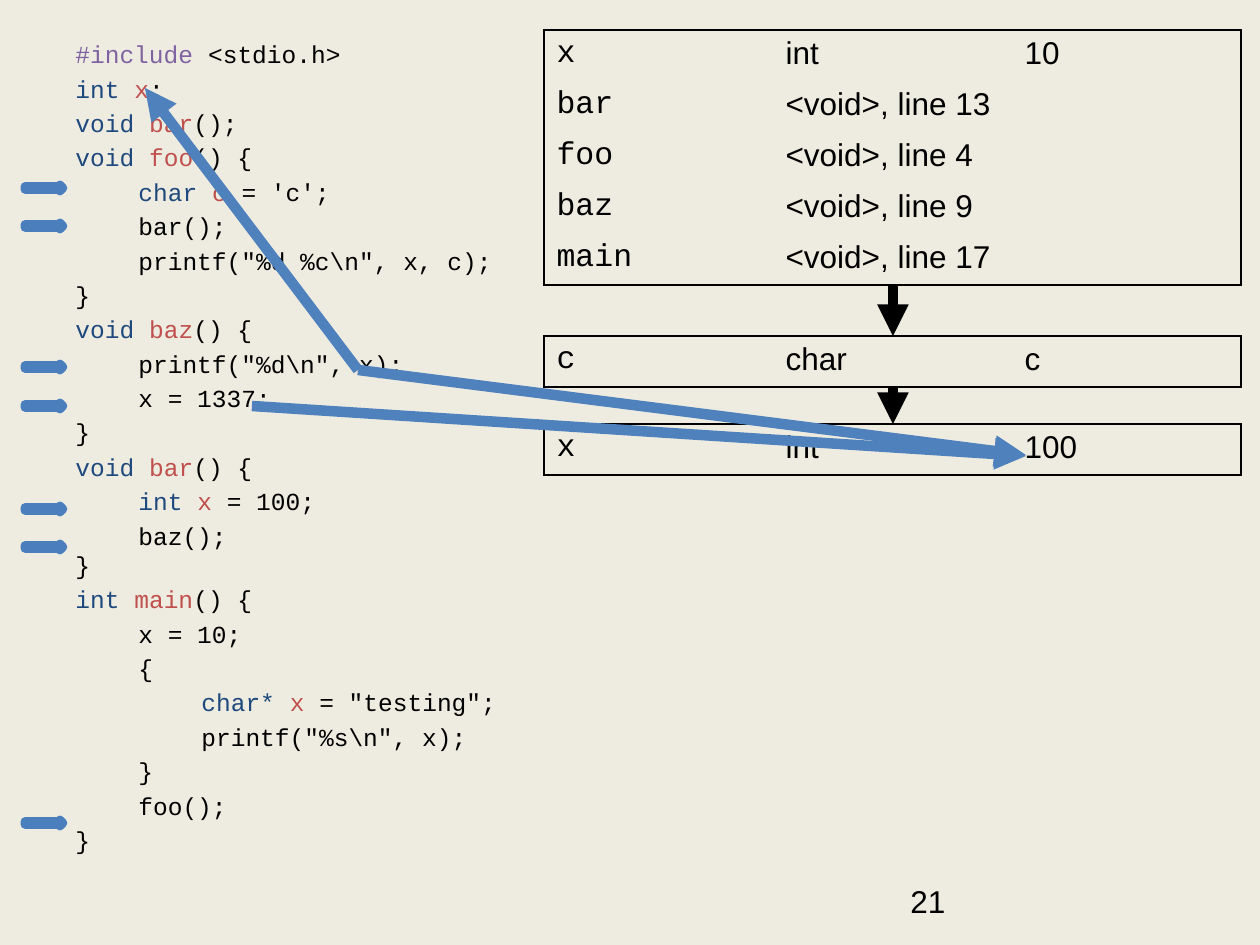
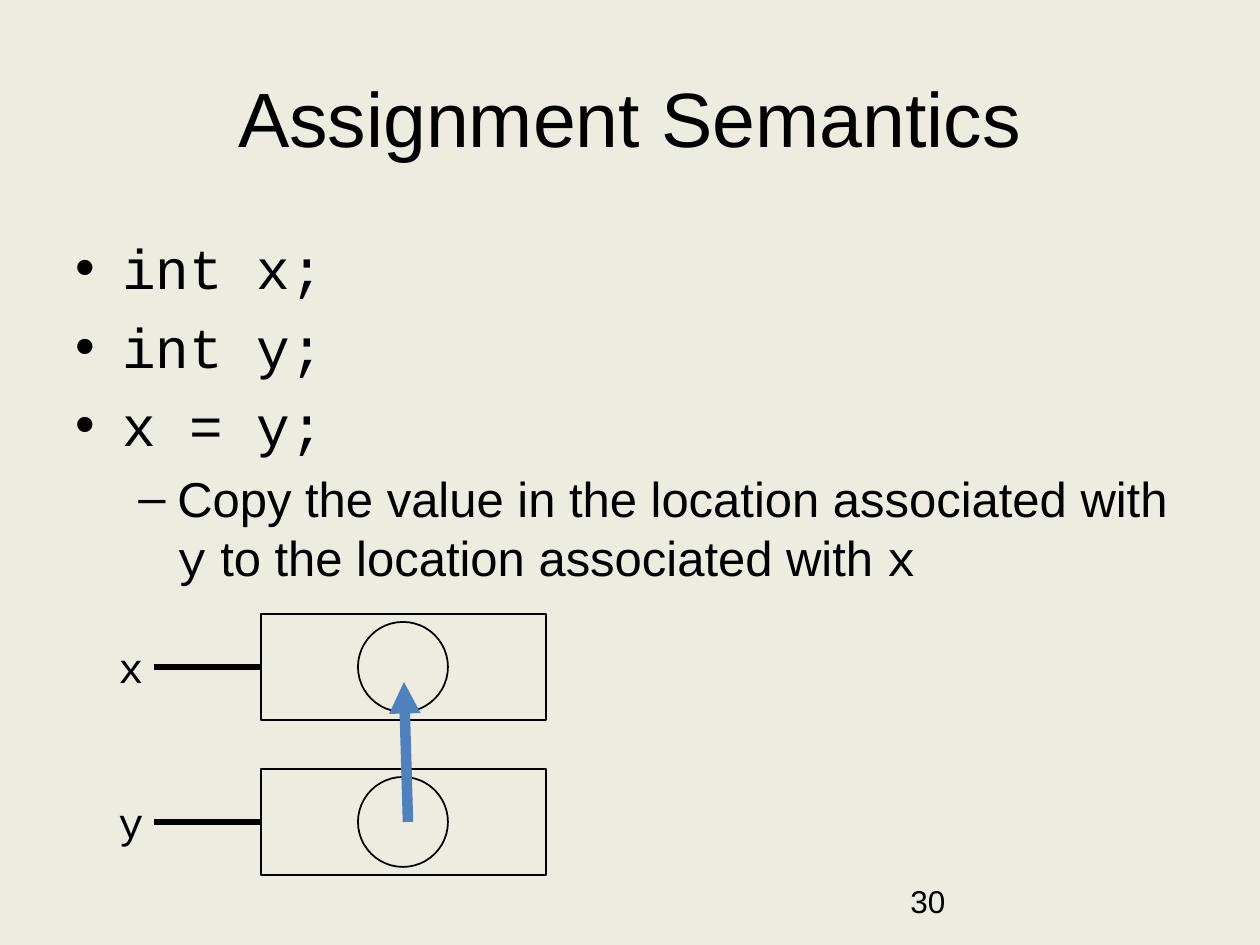
from lxml import etree
from pptx import Presentation
from pptx.dml.color import RGBColor
from pptx.enum.shapes import MSO_CONNECTOR, MSO_SHAPE
from pptx.enum.text import MSO_ANCHOR, PP_ALIGN
from pptx.oxml.ns import qn
from pptx.util import Pt

PX = 7257
STRAIGHT = MSO_CONNECTOR.STRAIGHT
RECT, OVAL, ARROW = MSO_SHAPE.RECTANGLE, MSO_SHAPE.OVAL, MSO_SHAPE.RIGHT_ARROW
MIDDLE, CENTER = MSO_ANCHOR.MIDDLE, PP_ALIGN.CENTER
SANS, MONO = "Arial", "Courier New"
HUES = {
    "paper": "EEECE1", "ink": "000000", "type": "1F497D", "name": "C0504D",
    "macro": "8064A2", "blue": "4F81BD", "edge": "4B7EBC",
    "deep": "3F80CE", "pale": "A4C4FF",
}
RGB = {key: RGBColor.from_string(hue) for key, hue in HUES.items()}


def put(frame, text, face=SANS, size=18, tint="ink", align=None, lead=None,
        gap=0, mark=None, left=0, hang=0, tabs=()):
    first = not frame.paragraphs[0].runs
    para = frame.paragraphs[0] if first else frame.add_paragraph()
    props = para._p.get_or_add_pPr()
    if mark:
        props.set("marL", str(left * PX))
        props.set("indent", str(-hang * PX))
        etree.SubElement(props, qn("a:buFont"), typeface=SANS)
        etree.SubElement(props, qn("a:buChar"), char=mark)
    if tabs:
        stops = etree.SubElement(props, qn("a:tabLst"))
        for tab in tabs:
            etree.SubElement(stops, qn("a:tab"), pos=str(tab * PX), algn="l")
    if align is not None:
        para.alignment = align
    if lead:
        para.line_spacing = Pt(lead)
    if gap and not first:
        para.space_before = Pt(gap)
    parts = [(text, tint, face)] if isinstance(text, str) else text
    for words, hue, font in parts:
        for row, piece in enumerate(words.split("\n")):
            if row:
                para.add_line_break()
            run = para.add_run()
            run.text = piece
            run.font.name = font
            run.font.size = Pt(size)
            run.font.color.rgb = RGB[hue]


def link(slide, start, end, tint="ink", width=6, head=True):
    line = slide.shapes.add_connector(
        STRAIGHT, *(v * PX for v in start + end))
    line.line.color.rgb = RGB[tint]
    line.line.width = Pt(width)
    if head:
        etree.SubElement(line.line._get_or_add_ln(), qn("a:tailEnd"),
                         type="triangle")
    etree.SubElement(line._element.spPr, qn("a:effectLst"))


deck = Presentation()
deck.slide_width, deck.slide_height = 1260 * PX, 945 * PX
back = deck.slide_master.background.fill
back.solid()
back.fore_color.rgb = RGB["paper"]
blank = deck.slide_layouts[6]
scope, assign = [deck.slides.add_slide(blank) for _ in range(2)]
for slide, page in ((scope, "21"), (assign, "30")):
    box = slide.shapes.add_textbox(898 * PX, 876 * PX, 294 * PX, 50 * PX)
    put(box.text_frame, page)

code = [
    [("#include ", "macro", MONO), ("<stdio.h>", "ink", MONO)],
    ("int ", "x", ";"),
    ("void ", "bar", "();"),
    ("void ", "foo", "() {"),
    ("\tchar ", "c", " = 'c';"),
    "\tbar();",
    "\tprintf(\"%d %c\\n\", x, c);",
    "}",
    ("void ", "baz", "() {"),
    "\tprintf(\"%d\\n\", x);",
    "\tx = 1337;",
    "}",
    ("void ", "bar", "() {"),
    ("\tint ", "x", " = 100;"),
    "\tbaz();\n}",
    ("int ", "main", "() {"),
    "\tx = 10;",
    "\t{",
    ("\t\tchar* ", "x", " = \"testing\";"),
    "\t\tprintf(\"%s\\n\", x);",
    "\t}",
    "\tfoo();",
    "}",
]
box = scope.shapes.add_textbox(63 * PX, 33 * PX, 510 * PX, 814 * PX)
box.text_frame.word_wrap = True
for line in code:
    if isinstance(line, tuple):
        line = [(word, hue, MONO)
                for word, hue in zip(line, ("type", "name", "ink"))]
    put(box.text_frame, line, face=MONO, size=14, lead=16.85, gap=2.8,
        tabs=(63, 126))

wide = (229, 239, 229)
high = 51
frames = [
    (30, [("x", "int", "10"), ("bar", "<void>, line 13", ""),
          ("foo", "<void>, line 4", ""), ("baz", "<void>, line 9", ""),
          ("main", "<void>, line 17", "")]),
    (336, [("c", "char", "c")]),
    (424, [("x", "int", "100")]),
]
for top, rows in frames:
    last = len(rows) - 1
    grid = scope.shapes.add_table(
        len(rows), 3, 544 * PX, top * PX, sum(wide) * PX,
        len(rows) * high * PX).table
    grid.first_row = grid.horz_banding = False
    for col, width in zip(grid.columns, wide):
        col.width = width * PX
    for r, row in enumerate(rows):
        grid.rows[r].height = high * PX
        for c, word in enumerate(row):
            cell = grid.cell(r, c)
            if word:
                put(cell.text_frame, word, face=SANS if c else MONO)
            props = cell._tc.get_or_add_tcPr()
            sides = {"lnL": c == 0, "lnR": c == 2,
                     "lnT": r == 0, "lnB": r == last}
            for side, shown in sides.items():
                rule = etree.SubElement(props, qn("a:" + side), w="12700")
                if shown:
                    fill = etree.SubElement(rule, qn("a:solidFill"))
                    etree.SubElement(fill, qn("a:srgbClr"), val=HUES["ink"])
                else:
                    etree.SubElement(rule, qn("a:noFill"))
            cell.fill.background()

link(scope, (893, 285), (893, 336))
link(scope, (893, 387), (893, 424))
for top in (185, 223, 364, 403, 506, 544, 820):
    step = scope.shapes.add_shape(ARROW, 25 * PX, top * PX, 38 * PX, 6 * PX)
    step.shadow.inherit = False
    step.fill.gradient()
    step.fill.gradient_angle = 90
    for stop, hue in zip(step.fill.gradient_stops, ("deep", "pale")):
        stop.color.rgb = RGB[hue]
    step.line.color.rgb = RGB["edge"]
    step.line.width = Pt(5)
for start, end in (((358, 370), (1026, 455)), ((358, 370), (145, 88)),
                   ((252, 406), (1026, 456))):
    link(scope, start, end, tint="blue")

box = assign.shapes.add_textbox(63 * PX, 38 * PX, 1134 * PX, 157 * PX)
box.text_frame.word_wrap = True
box.text_frame.vertical_anchor = MIDDLE
put(box.text_frame, "Assignment Semantics", size=44, align=CENTER)

box = assign.shapes.add_textbox(63 * PX, 227 * PX, 1134 * PX, 617 * PX)
box.text_frame.word_wrap = True
for line in ("int x;", "int y;", "x = y;"):
    put(box.text_frame, line, face=MONO, size=32, lead=38.55, gap=6.4,
        mark="•", left=47, hang=47)
note = [("Copy the value in the location associated with ", "ink", SANS),
        ("y", "ink", MONO),
        (" to the location associated with ", "ink", SANS),
        ("x", "ink", MONO)]
put(box.text_frame, note, size=28, lead=33.75, gap=5.6, mark="–",
    left=102, hang=39)

for name, top in (("x", 614), ("y", 769)):
    for kind, spot in ((RECT, (261, top, 285, 106)),
                       (OVAL, (358, top + 8, 90, 90))):
        part = assign.shapes.add_shape(kind, *(v * PX for v in spot))
        part.shadow.inherit = False
        part.fill.background()
        part.line.color.rgb = RGB["ink"]
        part.line.width = Pt(1)
    box = assign.shapes.add_textbox(106 * PX, (top + 21) * PX,
                                    48 * PX, 63 * PX)
    put(box.text_frame, name, face=MONO, size=24)
    link(assign, (154, top + 53), (261, top + 53), width=3, head=False)
link(assign, (408, 822), (404, 682), tint="blue")

deck.save("out.pptx")
